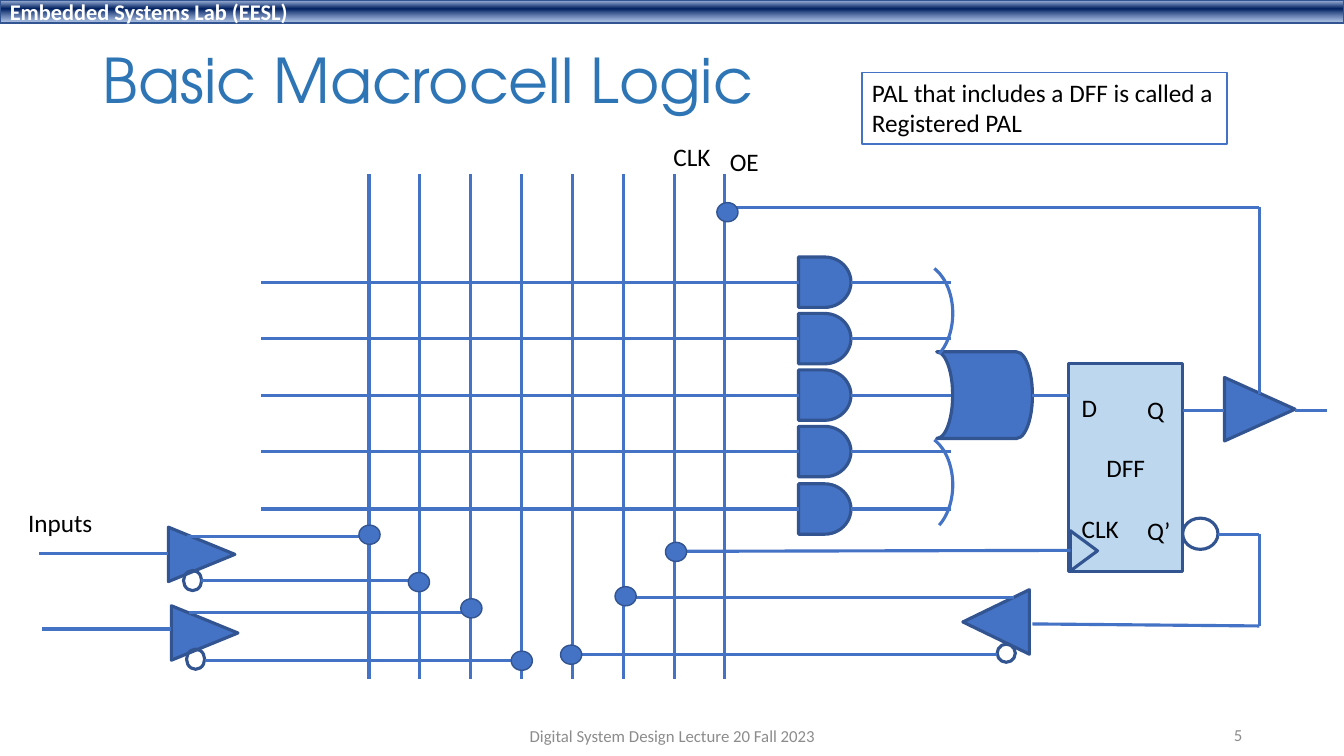
from lxml import etree
from pptx import Presentation
from pptx import util as u
from pptx.dml.color import RGBColor
from pptx.enum import shapes, text
from pptx.oxml import parse_xml
from pptx.oxml.ns import nsdecls, qn

PX = 9144  # EMU in one px, 100 px to the inch
THEME = {
    "blue": "4472C4", "edge": "325491", "pale": "BDD7EE", "white": "FFFFFF",
    "title": "2E75B6", "ink": "000000", "grey": "8C8C8C",
    "body_font": "Calibri", "title_font": "TeX Gyre Adventor",
    "title_size": 44, "header_size": 16, "label_size": 18, "footer_size": 12,
    "wire": 2.25, "thin": 1,
}
KIND = shapes.MSO_SHAPE
LEFT, CENTER, RIGHT = text.PP_ALIGN.LEFT, text.PP_ALIGN.CENTER, text.PP_ALIGN.RIGHT
TOP, MIDDLE = text.MSO_ANCHOR.TOP, text.MSO_ANCHOR.MIDDLE

deck = Presentation()
deck.slide_width, deck.slide_height = 1333 * PX, 750 * PX
slide = deck.slides.add_slide(deck.slide_layouts[5])


def part(kind, x, y, w, h, fill=None, edge="edge", weight="wire", turn=0):
    """Add a preset shape; without a fill colour it stays see-through."""
    shape = slide.shapes.add_shape(kind, x * PX, y * PX, w * PX, h * PX)
    shape.shadow.inherit = False
    shape.rotation = turn
    if fill:
        shape.fill.solid()
        shape.fill.fore_color.rgb = RGBColor.from_string(THEME[fill])
    else:
        shape.fill.background()
    shape.line.color.rgb = RGBColor.from_string(THEME[edge])
    shape.line.width = u.Pt(THEME[weight])
    return shape


def wire(x1, y1, x2, y2):
    line = slide.shapes.add_connector(
        shapes.MSO_CONNECTOR.STRAIGHT, x1 * PX, y1 * PX, x2 * PX, y2 * PX)
    line.line.color.rgb = RGBColor.from_string(THEME["blue"])
    line.line.width = u.Pt(THEME["wire"])
    etree.SubElement(line._element.spPr, qn("a:effectLst"))
    return line


# Header bar and title
header = part(KIND.RECTANGLE, 0, 0, 1333, 23, "blue", weight="thin")
solid = header._element.spPr.find(qn("a:solidFill"))
solid.getparent().replace(solid, parse_xml(
    f'<a:gradFill {nsdecls("a")}><a:gsLst>'
    '<a:gs pos="2000"><a:srgbClr val="ABC0E4"/></a:gs>'
    '<a:gs pos="38000"><a:srgbClr val="002060"/></a:gs>'
    '<a:gs pos="93000"><a:srgbClr val="7E9ED6"><a:alpha val="64000"/></a:srgbClr></a:gs>'
    '</a:gsLst><a:lin ang="5400000" scaled="0"/></a:gradFill>'))
title = slide.shapes.title
title.left, title.top, title.width, title.height = 92 * PX, 40 * PX, 1150 * PX, 86 * PX

# Vertical rails of the array
for rail in range(8):
    x = 366 + rail * 101 // 2
    wire(x, 173, x, 674)

# AND gates, one on each product line
for row in range(5):
    gate = part(KIND.FLOWCHART_DELAY, 792, 255 + row * 225 // 4, 52, 50, "blue")
    y = 280 + row * 225 // 4
    wire(259, y, 792, y).end_connect(gate, 1)
    wire(844, y, 943, y).begin_connect(gate, 3)

# OR gate with its extended input edge
part(KIND.FLOWCHART_STORED_DATA, 929, 349, 95, 86, "blue", turn=180)
for y in (261, 431):
    arc = part(KIND.ARC, 878, y, 67, 100, edge="blue")
    arc.adjustments[0], arc.adjustments[1] = 173.31, 38.061

# Flip-flop, output buffer and feedback buffer
flip_flop = part(KIND.RECTANGLE, 1060, 361, 113, 206, "pale")
part(KIND.ISOSCELES_TRIANGLE, 1055, 533, 40, 27, turn=90)
part(KIND.ISOSCELES_TRIANGLE, 1218, 371, 63, 70, "blue", turn=90)
part(KIND.OVAL, 1173, 514, 35, 31)
part(KIND.ISOSCELES_TRIANGLE, 956, 584, 64, 66, "blue", turn=270)
part(KIND.OVAL, 989, 639, 18, 18)

# Input buffers with their inverting bubbles
for x, y in ((173, 517), (176, 595)):
    part(KIND.ISOSCELES_TRIANGLE, x, y, 54, 66, "blue", turn=90)
    part(KIND.OVAL, x + 9, y + 49, 18, 20)

for ends in (
    (1024, 392, 1060, 392), (1062, 546, 669, 547),                        # D, CLK
    (1173, 407, 1214, 407), (1284, 407, 1316, 407),                       # Q
    (1249, 391, 1249, 205), (1249, 206, 717, 206),                        # OE
    (1208, 530, 1249, 530), (1249, 530, 1249, 621), (1249, 621, 1024, 619),  # Q’
    (1006, 593, 619, 593), (989, 649, 568, 649),                          # feedback
    (39, 549, 167, 549), (185, 532, 371, 532), (199, 576, 417, 576),      # input 1
    (42, 624, 170, 624), (187, 608, 469, 608), (203, 655, 518, 655),      # input 2
):
    wire(*ends)

# Junction dots
for x, y in ((356, 521), (405, 568), (457, 594), (507, 646),
             (556, 640), (610, 582), (660, 538), (711, 201)):
    part(KIND.OVAL, x, y, 21, 19, "blue", weight="thin")

note = part(KIND.RECTANGLE, 855, 72, 362, 71, "white", "blue", "thin")

# Text: holder, words, size, colour, alignment, anchor
wordings = [
    (header, "Embedded Systems Lab (EESL)", "header_size", "white", LEFT, MIDDLE),
    (title, "Basic Macrocell Logic", "title_size", "title", LEFT, MIDDLE),
    (flip_flop, "DFF", "label_size", "ink", CENTER, MIDDLE),
    (note, "PAL that includes a DFF is called a\nRegistered PAL",
     "label_size", "ink", LEFT, TOP),
]
for words, x, y, w in (("D", 1063, 384, 40), ("CLK", 1063, 504, 58),
                       ("Q", 1128, 386, 44), ("Q’", 1128, 506, 44),
                       ("Inputs", 18, 498, 85), ("OE", 714, 140, 49),
                       ("CLK", 658, 135, 58)):
    label = slide.shapes.add_textbox(x * PX, y * PX, w * PX, 40 * PX)
    wordings.append((label, words, "label_size", "ink", LEFT, TOP))
for words, x, y, w, align in (
        ("Digital System Design Lecture 20 Fall 2023", 442, 710, 450, CENTER),
        ("5", 942, 709, 300, RIGHT)):
    footer = slide.shapes.add_textbox(x * PX, y * PX, w * PX, 40 * PX)
    wordings.append((footer, words, "footer_size", "grey", align, MIDDLE))

for holder, words, size, colour, align, anchor in wordings:
    frame = holder.text_frame
    frame.text = words
    frame.word_wrap = True
    frame.auto_size = text.MSO_AUTO_SIZE.NONE
    frame.vertical_anchor = anchor
    for paragraph in frame.paragraphs:
        paragraph.alignment = align
        font = paragraph.runs[0].font
        look = {"name": THEME["title_font" if holder is title else "body_font"],
                "size": u.Pt(THEME[size]), "bold": holder is header}
        for key, value in look.items():
            setattr(font, key, value)
        font.color.rgb = RGBColor.from_string(THEME[colour])
title.text_frame.paragraphs[0].line_spacing = 0.9

deck.save("out.pptx")
